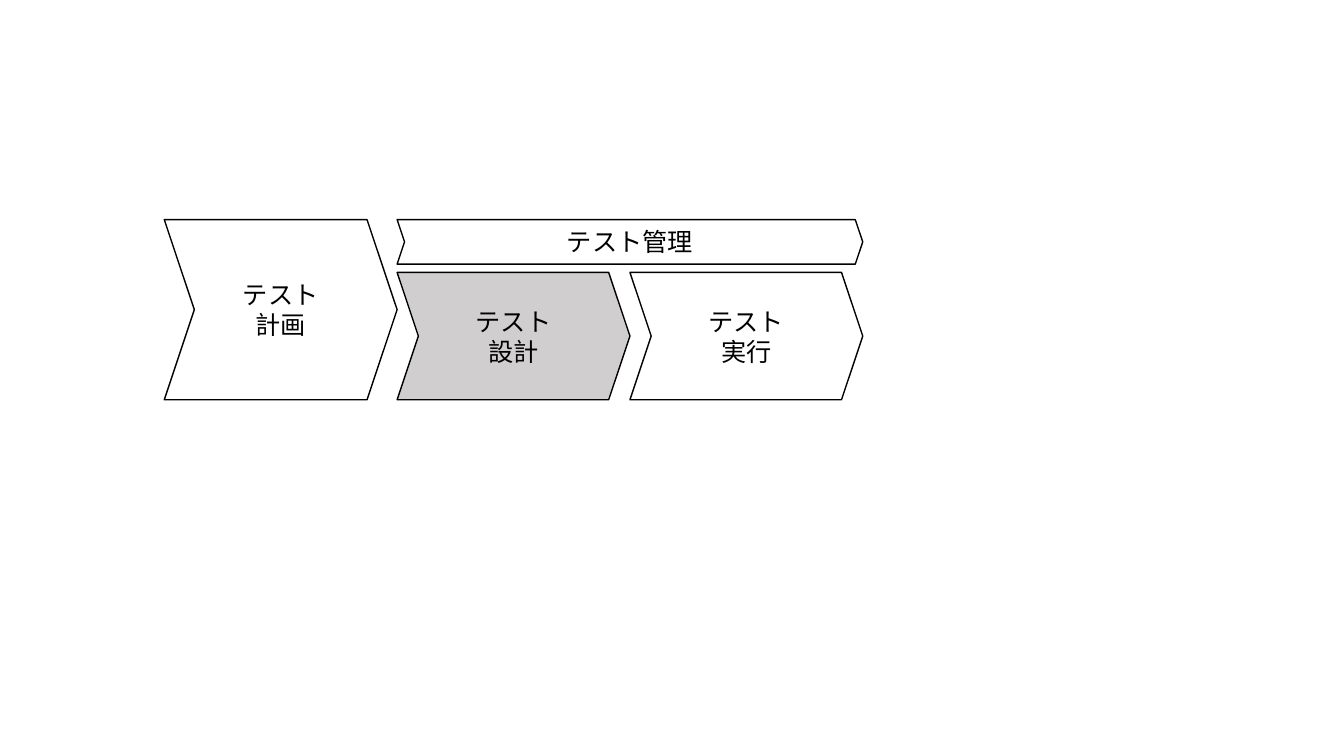
from dataclasses import dataclass

from lxml import etree
from pptx import Presentation
from pptx.dml.color import RGBColor
from pptx.enum.shapes import MSO_SHAPE
from pptx.enum.text import MSO_ANCHOR, PP_ALIGN
from pptx.oxml.ns import qn
from pptx.slide import Slide
from pptx.util import Pt

CHEVRON = MSO_SHAPE.CHEVRON
MIDDLE = MSO_ANCHOR.MIDDLE
CENTER = PP_ALIGN.CENTER

COLORS = {"ink": "000000", "plain": "FFFFFF", "focus": "D0CECE"}
FONT = "Noto Sans CJK JP"
FORMAT = {"name": FONT, "size": Pt(18)}

LEFT, TOP, STEP = 117.36, 156.9, 166.3
FULL, BAND, GAP = 128.6, 31.8, 5.9
ROW = TOP + BAND + GAP
REST = FULL - BAND - GAP


@dataclass
class Phase:
    text: str
    col: int
    top: float
    high: float
    span: int = 1
    fill: str = "plain"


PHASES = [
    Phase("テスト\n計画", 0, TOP, FULL),
    Phase("テスト\n設計", 1, ROW, REST, fill="focus"),
    Phase("テスト\n実行", 2, ROW, REST),
    Phase("テスト管理", 1, TOP, BAND, span=2),
]


def color(name: str) -> RGBColor:
    return RGBColor.from_string(COLORS[name])


def draw_phase(slide: Slide, phase: Phase) -> None:
    shape = slide.shapes.add_shape(
        CHEVRON,
        Pt(LEFT + phase.col * STEP),
        Pt(phase.top),
        Pt(phase.span * STEP),
        Pt(phase.high),
    )
    shape.adjustments[0] = 0.167
    shape.shadow.inherit = False
    shape.fill.solid()
    shape.fill.fore_color.rgb = color(phase.fill)
    shape.line.color.rgb = color("ink")
    shape.line.width = Pt(1)

    frame = shape.text_frame
    frame.vertical_anchor = MIDDLE
    para = frame.paragraphs[0]
    para.text = phase.text
    para.alignment = CENTER
    for run in para.runs:
        for key, value in FORMAT.items():
            setattr(run.font, key, value)
        run.font.color.rgb = color("ink")
    for latin in list(shape.element.iter(qn("a:latin"))):
        east = etree.Element(qn("a:ea"), typeface=FONT)
        latin.addnext(east)


def main() -> None:
    deck = Presentation()
    deck.slide_width = Pt(960)
    deck.slide_height = Pt(540)
    slide = deck.slides.add_slide(deck.slide_layouts[6])
    for phase in PHASES:
        draw_phase(slide, phase)
    deck.save("out.pptx")


if __name__ == "__main__":
    main()
